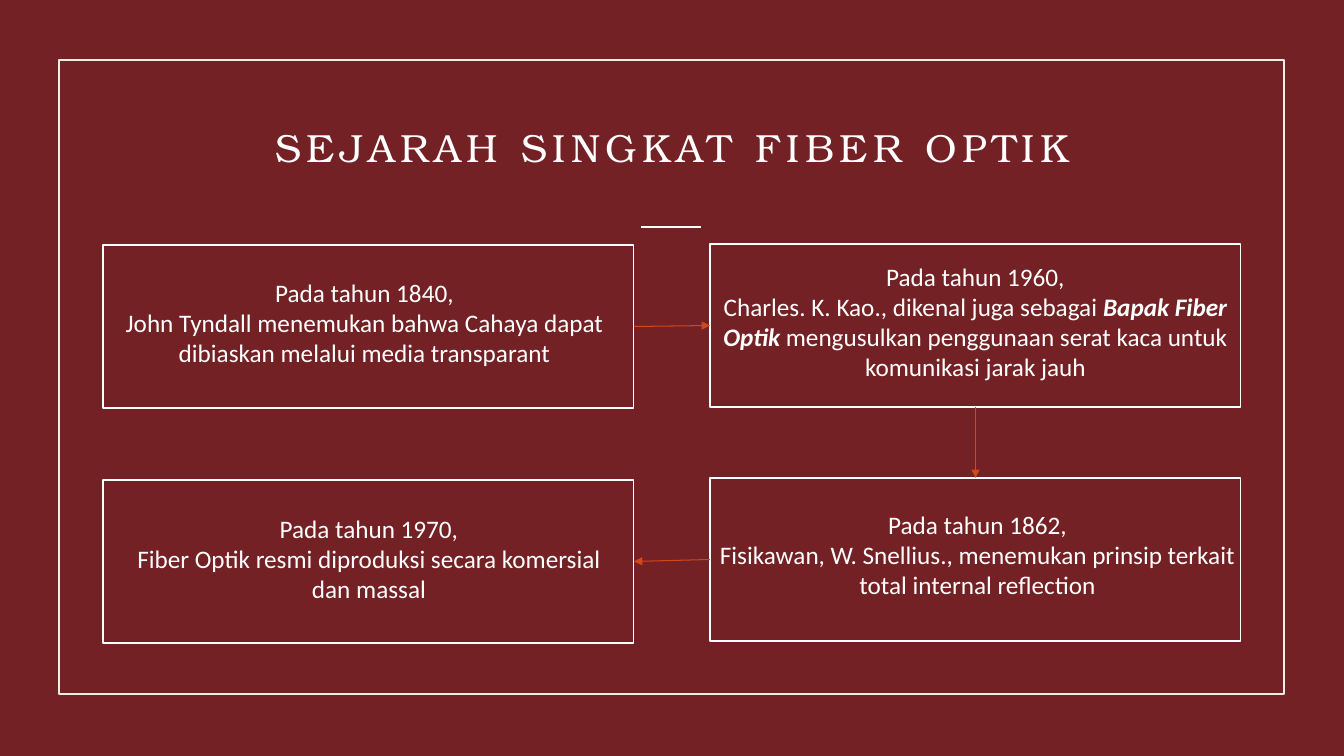
"""Build the slide on the short history of fiber optics."""
import pptx
import pptx.dml.color
import pptx.enum.shapes
import pptx.enum.text
import pptx.oxml
import pptx.oxml.ns
import pptx.util

PX = 12192000 / 1344
SLIDE_SIZE = (1344, 756)
BACKGROUND, WHITE, CREAM, ORANGE = "732124", "FFFFFF", "F0EDE5", "D34817"
FRAME = (59, 60, 1225, 634)
DIVIDER = (641, 227, 701, 227)
TITLE = "SEJARAH SINGKAT FIBER OPTIK"
TITLE_AREA = (118, 86, 1109, 121)
TITLE_FORMAT = {"size": pptx.util.Pt(28), "name": "TeX Gyre Bonum"}
TITLE_SPACING = 400
BODY_FORMAT = {"size": pptx.util.Pt(18), "name": "Calibri"}
EMPHASIS = {"bold": True, "italic": True}
BOX_SIZE = (531, 163)

EVENTS = [
    {"box": (103, 245), "text": (99, 272, 531, 132), "paragraphs": [
        [("Pada tahun 1840,", {})],
        [("John Tyndall menemukan bahwa Cahaya dapat dibiaskan melalui media transparant", {})]]},
    {"box": (710, 244), "text": (710, 256, 531, 163), "paragraphs": [
        [("Pada tahun 1960,", {})],
        [("Charles. K. Kao., dikenal juga sebagai ", {}),
         ("Bapak Fiber Optik ", EMPHASIS),
         ("mengusulkan penggunaan serat kaca untuk komunikasi jarak jauh", {})]]},
    {"box": (710, 478), "text": (696, 504, 563, 132), "paragraphs": [
        [("Pada tahun 1862,", {})],
        [("Fisikawan, W. Snellius., menemukan prinsip terkait total internal reflection", {})]]},
    {"box": (103, 480), "text": (108, 508, 522, 132), "paragraphs": [
        [("Pada tahun 1970,", {})],
        [("Fiber Optik resmi diproduksi secara komersial dan massal", {})]]},
]
TOP, LEFT, BOTTOM, RIGHT = range(4)
ARROW_SIDES = [(RIGHT, LEFT), (BOTTOM, TOP), (LEFT, RIGHT)]


def emu(lengths):
    return [round(length * PX) for length in lengths]


def color(value):
    return pptx.dml.color.RGBColor.from_string(value)


def set_line(shape, value, width):
    shape.line.color.rgb = color(value)
    shape.line.width = pptx.util.Pt(width)


def add_box(slide, area, value):
    box = slide.shapes.add_shape(pptx.enum.shapes.MSO_SHAPE.RECTANGLE, *emu(area))
    box.shadow.inherit = False
    box.fill.background()
    set_line(box, value, 0.85)
    return box


def add_line(slide, points, value, width):
    line = slide.shapes.add_connector(
        pptx.enum.shapes.MSO_CONNECTOR.STRAIGHT, *emu(points))
    set_line(line, value, width)
    properties = line.element.spPr
    properties.append(pptx.oxml.parse_xml(
        f"<a:effectLst {pptx.oxml.ns.nsdecls('a')}/>"))
    return line


def add_arrow(slide, start, end, sides):
    arrow = add_line(slide, (0, 0, 0, 0), ORANGE, 0.75)
    arrow.begin_connect(start, sides[0])
    arrow.end_connect(end, sides[1])
    outline = arrow.element.spPr.find(pptx.oxml.ns.qn("a:ln"))
    outline.append(pptx.oxml.parse_xml(
        f"<a:tailEnd {pptx.oxml.ns.nsdecls('a')} type='triangle'/>"))


def add_text(slide, area, paragraphs, base_format):
    shape = slide.shapes.add_textbox(*emu(area))
    frame = shape.text_frame
    frame.word_wrap = True
    for index, runs in enumerate(paragraphs):
        paragraph = frame.add_paragraph() if index else frame.paragraphs[0]
        paragraph.alignment = pptx.enum.text.PP_ALIGN.CENTER
        for text, extra_format in runs:
            run = paragraph.add_run()
            run.text = text
            run.font.color.rgb = color(WHITE)
            for name, value in {**base_format, **extra_format}.items():
                setattr(run.font, name, value)
    return shape


def add_title(slide):
    title = add_text(slide, TITLE_AREA, [[(TITLE, {})]], TITLE_FORMAT)
    frame_format = {"vertical_anchor": pptx.enum.text.MSO_ANCHOR.MIDDLE,
                    "margin_left": 0, "margin_right": 0,
                    "margin_top": 0, "margin_bottom": 0}
    for name, value in frame_format.items():
        setattr(title.text_frame, name, value)
    for properties in title.element.iter(pptx.oxml.ns.qn("a:rPr")):
        properties.set("spc", str(TITLE_SPACING))


def main():
    presentation = pptx.Presentation()
    presentation.slide_width, presentation.slide_height = emu(SLIDE_SIZE)
    slide = presentation.slides.add_slide(presentation.slide_layouts[6])
    slide.background.fill.solid()
    slide.background.fill.fore_color.rgb = color(BACKGROUND)
    add_line(slide, DIVIDER, WHITE, 1)
    add_box(slide, FRAME, CREAM)
    add_title(slide)
    boxes = []
    for event in EVENTS:
        boxes.append(add_box(slide, event["box"] + BOX_SIZE, WHITE))
        add_text(slide, event["text"], event["paragraphs"], BODY_FORMAT)
    for start, end, sides in zip(boxes, boxes[1:], ARROW_SIDES):
        add_arrow(slide, start, end, sides)
    presentation.save("out.pptx")


if __name__ == "__main__":
    main()
